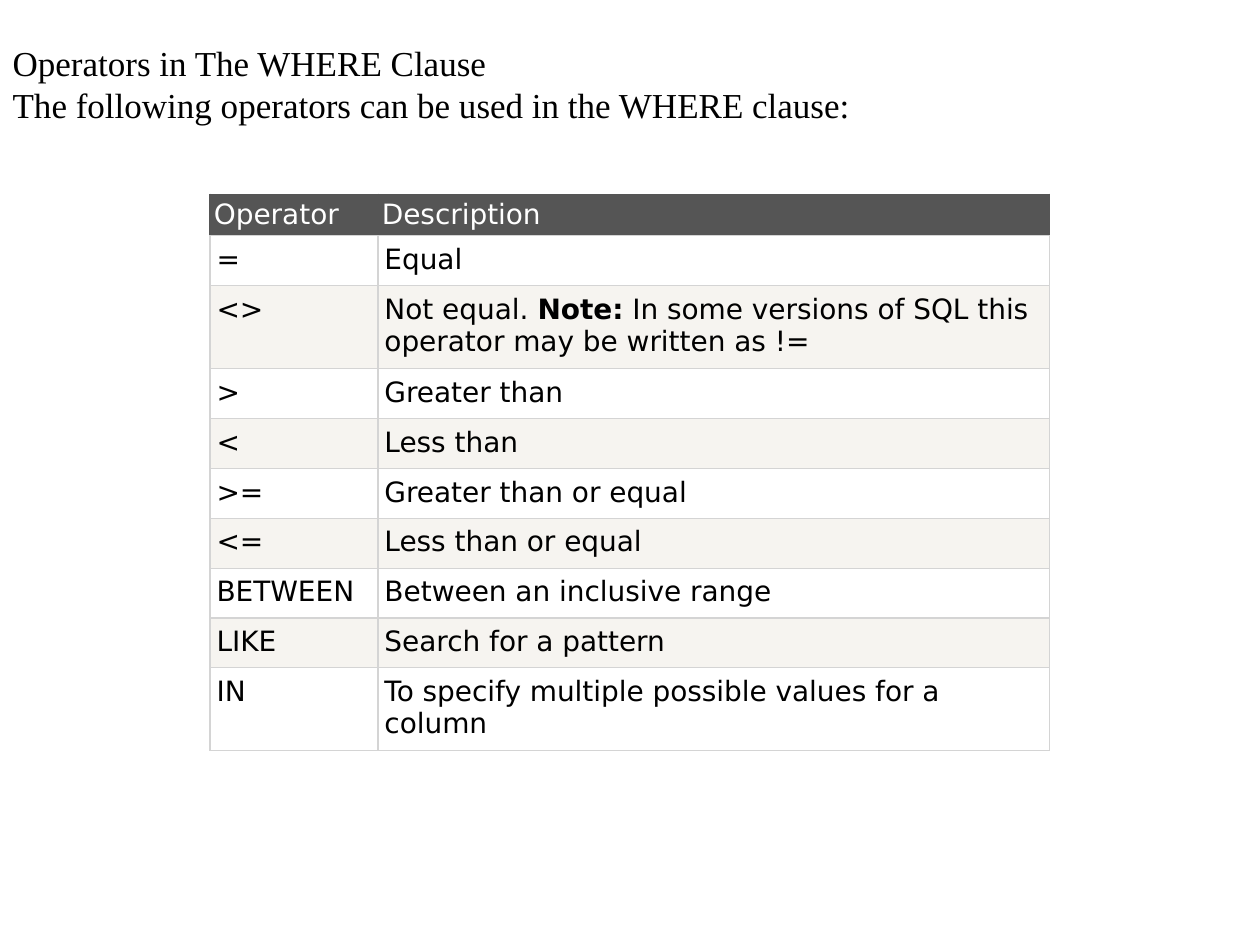
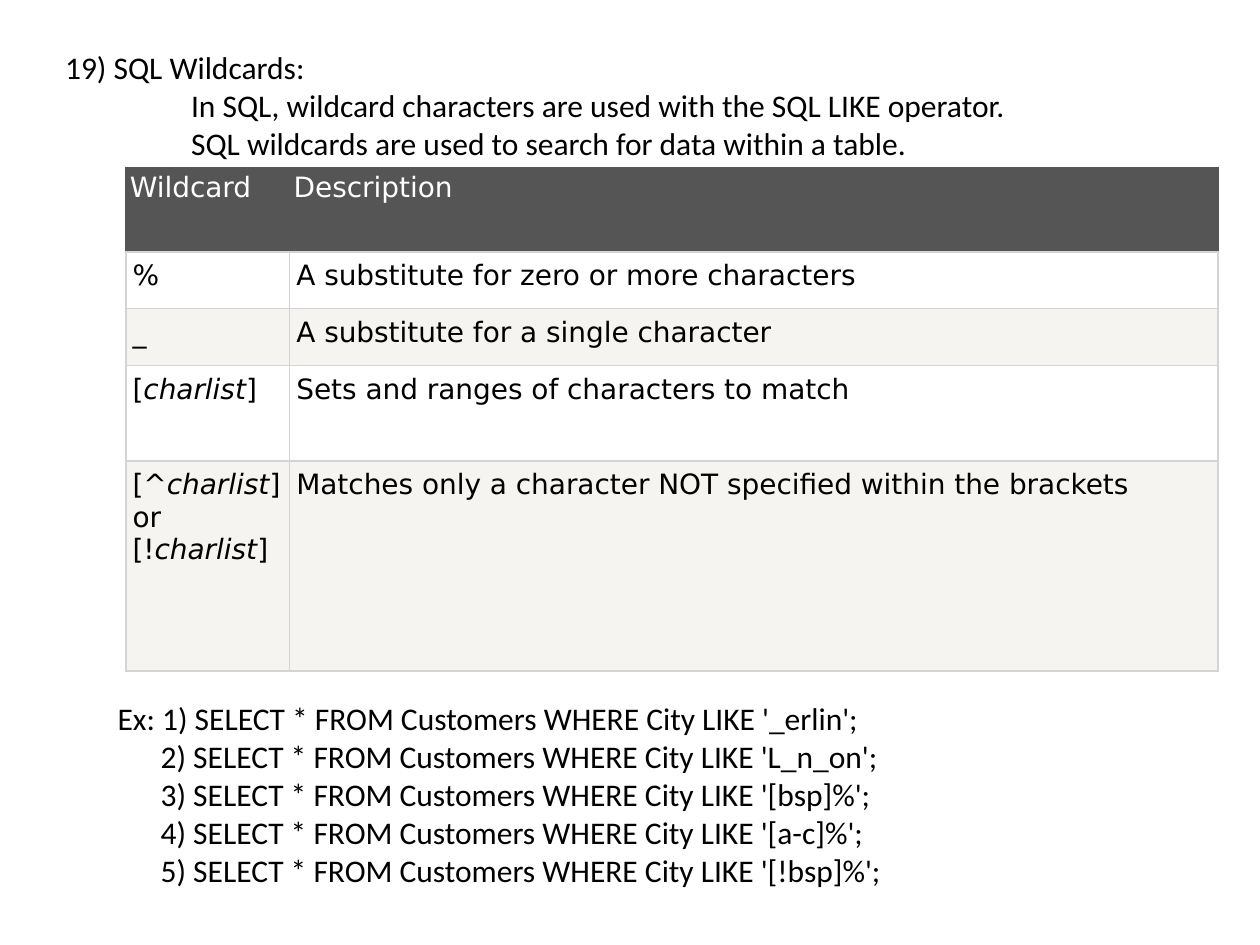
from lxml import etree
from pptx import Presentation
from pptx.dml.color import RGBColor
from pptx.enum.text import MSO_ANCHOR, MSO_AUTO_SIZE, PP_ALIGN
from pptx.oxml.ns import qn
from pptx.util import Pt

LEFT = PP_ALIGN.LEFT
TOP, MIDDLE = MSO_ANCHOR.TOP, MSO_ANCHOR.MIDDLE
GROW = MSO_AUTO_SIZE.SHAPE_TO_FIT_TEXT
TITLE_ONLY, TITLE_AND_CONTENT = 5, 1

COLORS = {
    "text": "000000",
    "header": "555555",
    "header_text": "FFFFFF",
    "border": "D4D4D4",
    "odd_row": "FFFFFF",
    "even_row": "F6F4F0",
}


class Deck:
    """Holds the shared style and the current slide."""

    table_font, table_size = "DejaVu Sans", 16
    border_width = 0.75
    header_insets = (2.25, 2.25)
    row_insets = (3.75, 4.5)

    def __init__(self):
        self.prs = Presentation()
        self.prs.slide_width, self.prs.slide_height = Pt(720), Pt(540)
        self.slide = None

    def new_slide(self, layout):
        self.slide = self.prs.slides.add_slide(self.prs.slide_layouts[layout])

    def add_run(self, paragraph, text, font, size, color, style=""):
        run = paragraph.add_run()
        run.text = text
        run.font.name, run.font.size = font, Pt(size)
        run.font.color.rgb = RGBColor.from_string(COLORS[color])
        run.font.bold, run.font.italic = style == "bold", style == "italic"

    def text_block(self, index, box, lines, font, size,
                   anchor=TOP, inset_y=3.6, wrap=True):
        """Fill a placeholder with (text, indent) lines."""
        holder = self.slide.placeholders[index]
        holder.left, holder.top, holder.width, holder.height = map(Pt, box)
        frame = holder.text_frame
        frame.word_wrap, frame.auto_size = wrap, GROW
        frame.vertical_anchor = anchor
        frame.margin_left = frame.margin_right = Pt(7.2)
        frame.margin_top = frame.margin_bottom = Pt(inset_y)
        for number, (text, indent) in enumerate(lines):
            paragraph = frame.add_paragraph() if number else frame.paragraphs[0]
            paragraph.alignment = LEFT
            paragraph.space_before = Pt(0)
            properties = paragraph._p.get_or_add_pPr()
            properties.set("marL", str(Pt(indent)))
            properties.set("indent", "0")
            etree.SubElement(properties, qn("a:buNone"))
            self.add_run(paragraph, text, font, size, "text")

    def title(self, box, lines, font, size, **options):
        self.text_block(0, box, lines, font, size, **options)

    def body(self, box, lines, font, size, **options):
        self.text_block(1, box, lines, font, size, **options)

    def border(self, cell, side, color):
        line = etree.SubElement(cell._tc.get_or_add_tcPr(), qn("a:ln" + side),
                                w=str(Pt(self.border_width)))
        fill = etree.SubElement(line, qn("a:solidFill"))
        etree.SubElement(fill, qn("a:srgbClr"), val=COLORS[color])

    def cell(self, cell, content, row):
        header = row == 0
        inset_x, inset_y = self.header_insets if header else self.row_insets
        cell.margin_left = cell.margin_right = Pt(inset_x)
        cell.margin_top = cell.margin_bottom = Pt(inset_y)
        # Borders come before the fill in the cell properties
        for side in "LRTB":
            dark = header and side != "B"
            self.border(cell, side, "header" if dark else "border")
        fill = "header" if header else "odd_row" if row % 2 else "even_row"
        cell.fill.solid()
        cell.fill.fore_color.rgb = RGBColor.from_string(COLORS[fill])
        # Content is a plain string or a list of (text, style) runs
        runs = [(content, "")] if isinstance(content, str) else content
        paragraph = cell.text_frame.paragraphs[0]
        for text, style in runs:
            for number, part in enumerate(text.split("\n")):
                if number:
                    paragraph.add_line_break()
                self.add_run(paragraph, part, self.table_font, self.table_size,
                             "header_text" if header else "text", style)

    def table(self, left, top, widths, heights, rows):
        table = self.slide.shapes.add_table(
            len(rows), len(widths), Pt(left), Pt(top),
            Pt(sum(widths)), Pt(sum(heights))).table
        table.first_row = table.horz_banding = False
        for column, width in zip(table.columns, widths):
            column.width = Pt(width)
        for number, (height, contents) in enumerate(zip(heights, rows)):
            table.rows[number].height = Pt(height)
            for column, content in enumerate(contents):
                self.cell(table.cell(number, column), content, number)


deck = Deck()

# Slide 1: operators
operators = [
    ("Operator", "Description"),
    ("=", "Equal"),
    ("<>", [("Not equal.\u00a0", ""), ("Note:", "bold"),
            ("\u00a0In some versions of SQL this operator may be written as !=", "")]),
    (">", "Greater than"),
    ("<", "Less than"),
    (">=", "Greater than or equal"),
    ("<=", "Less than or equal"),
    ("BETWEEN", "Between an inclusive range"),
    ("LIKE", "Search for a pattern"),
    ("IN", "To specify multiple possible values for a column"),
]
one_line, two_lines = 28.5, 47.5
operator_heights = [23, one_line, two_lines] + [one_line] * 6 + [two_lines]

deck.new_slide(TITLE_ONLY)
deck.table(120, 111, (96, 384), operator_heights, operators)
deck.title((0, 16.5, 497, 62.5),
           [("Operators in The WHERE Clause", 0),
            ("The following operators can be used in the WHERE clause:", 0)],
           "Times New Roman", 20, anchor=MIDDLE, inset_y=7.2, wrap=False)

# Slide 2: wildcards
charlist = ("charlist", "italic")
wildcards = [
    ("Wildcard", "Description"),
    ("%", "A substitute for zero or more characters"),
    ("_", "A substitute for a single character"),
    ([("[", ""), charlist, ("]", "")], "Sets and ranges of characters to match"),
    ([("[^", ""), charlist, ("]\nor\n[!", ""), charlist, ("]", "")],
     "Matches only a character NOT specified within the brackets"),
]
patterns = ["_erlin", "L_n_on", "[bsp]%", "[a-c]%", "[!bsp]%"]
examples = [
    (f"{'' if number > 1 else 'Ex: '}{number}) "
     f"SELECT * FROM Customers WHERE City LIKE '{pattern}';",
     24.6 if number > 1 else 0)
    for number, pattern in enumerate(patterns, 1)
]

deck.new_slide(TITLE_AND_CONTENT)
deck.title((30, 24, 678, 116.5),
           [("19) SQL\u00a0Wildcards:", 0),
            ("In SQL, wildcard characters are used with the SQL LIKE operator.", 72),
            ("SQL wildcards are used to search for data within a table.", 72)],
           "Calibri", 18)
deck.table(72, 96, (93.6, 530.4), (48, 32.5, 32.5, 54.5, 120), wildcards)
deck.body((60, 396, 600, 116.5), examples, "Calibri", 18)

deck.prs.save("out.pptx")
